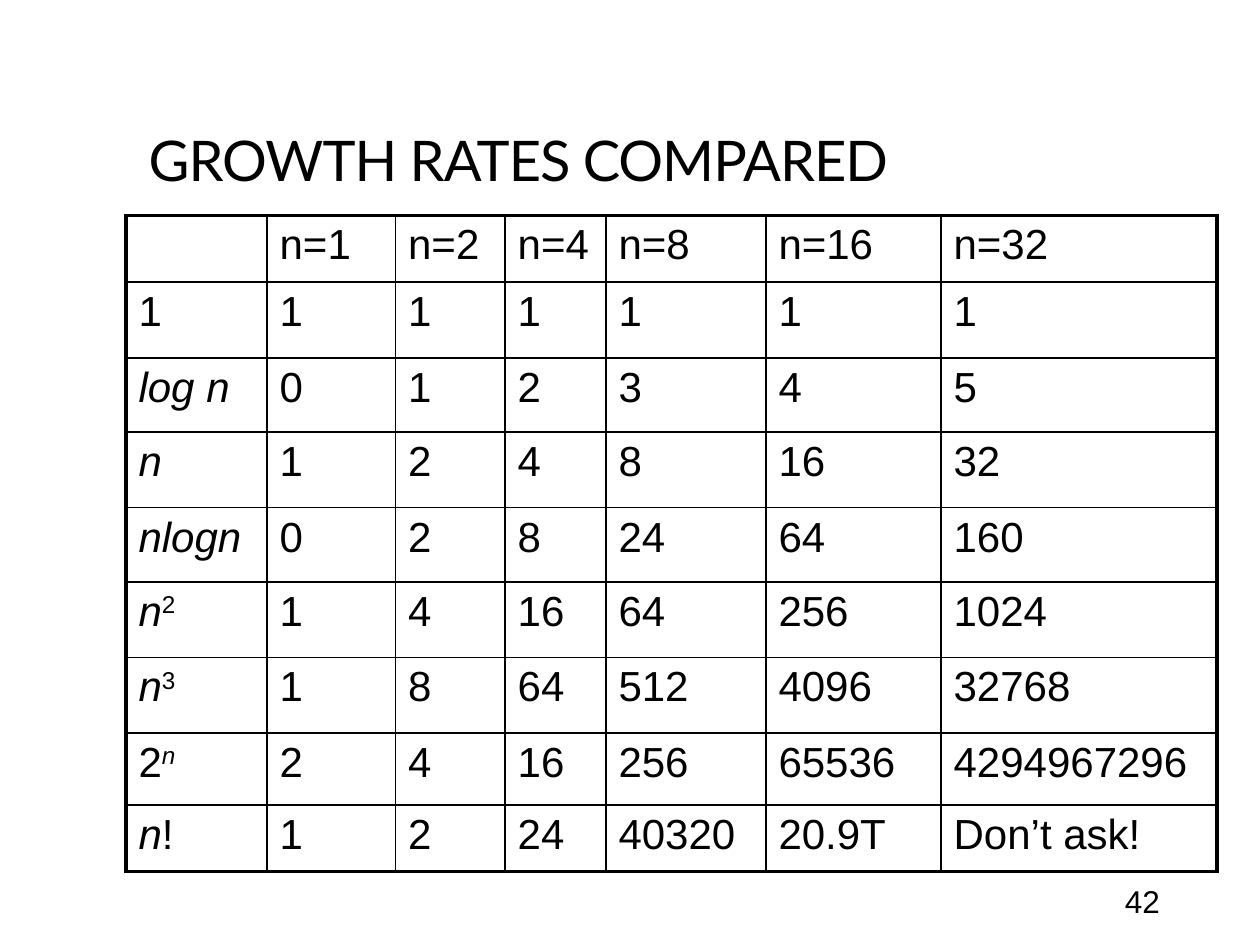
from dataclasses import dataclass

from lxml.etree import SubElement
from pptx import Presentation
from pptx.dml.color import RGBColor
from pptx.enum.text import MSO_ANCHOR, MSO_AUTO_SIZE, PP_ALIGN
from pptx.oxml.ns import qn
from pptx.util import Inches, Pt


@dataclass(frozen=True)
class Theme:
    ink: RGBColor = RGBColor(0, 0, 0)
    title_font: str = "Lato"
    body_font: str = "Arial"
    title_size: Pt = Pt(32)
    cell_size: Pt = Pt(24)
    number_size: Pt = Pt(18)
    inner_line: Pt = Pt(1)
    outer_line: Pt = Pt(2.25)


theme = Theme()


def add_run(p, text, size, font=theme.body_font, italic=False):
    r = p.add_run()
    r.text = text
    r.font.size = size
    r.font.name = font
    r.font.italic = italic
    r.font.color.rgb = theme.ink
    return r


def add_border(cell, side, width):
    ln = SubElement(cell._tc.get_or_add_tcPr(), qn(f"a:{side}"), w=str(width))
    fill = SubElement(ln, qn("a:solidFill"))
    SubElement(fill, qn("a:srgbClr"), val=str(theme.ink))


prs = Presentation()
prs.slide_width, prs.slide_height = Inches(10), Inches(7.5)
s = prs.slides.add_slide(prs.slide_layouts[5])

title = s.shapes.title
title.left, title.top = Inches(1.08), Inches(0.33)
title.width, title.height = Inches(8.67), Inches(1.25)
tf = title.text_frame
tf.auto_size = MSO_AUTO_SIZE.NONE
tf.vertical_anchor = MSO_ANCHOR.BOTTOM
p = tf.paragraphs[0]
p.alignment = PP_ALIGN.LEFT
r = add_run(p, "GROWTH RATES COMPARED", theme.title_size, theme.title_font)
r.font._element.set("spc", "-60")

number = s.shapes.add_textbox(Inches(8.83), Inches(6.95), Inches(0.5), Inches(0.4))
number.text_frame.word_wrap = True
add_run(number.text_frame.paragraphs[0], "42", theme.number_size)

col_widths = [1.12, 1.02, 0.87, 0.8, 1.27, 1.39, 2.19]
row_heights = [0.53, 0.6, 0.59, 0.6, 0.59, 0.6, 0.6, 0.57, 0.53]

# Row labels: (base, base italic, suffix, suffix italic, suffix raised)
labels = [
    None,
    ("1", False, "", False, False),
    ("log n", True, "", False, False),
    ("n", True, "", False, False),
    ("nlogn", True, "", False, False),
    ("n", True, "2", False, True),
    ("n", True, "3", False, True),
    ("2", False, "n", True, True),
    ("n", True, "!", False, False),
]
values = [
    ["n=1", "n=2", "n=4", "n=8", "n=16", "n=32"],
    ["1", "1", "1", "1", "1", "1"],
    ["0", "1", "2", "3", "4", "5"],
    ["1", "2", "4", "8", "16", "32"],
    ["0", "2", "8", "24", "64", "160"],
    ["1", "4", "16", "64", "256", "1024"],
    ["1", "8", "64", "512", "4096", "32768"],
    ["2", "4", "16", "256", "65536", "4294967296"],
    ["1", "2", "24", "40320", "20.9T", "Don’t ask!"],
]

n_rows, n_cols = len(row_heights), len(col_widths)
table = s.shapes.add_table(
    n_rows, n_cols, Inches(1), Inches(1.71), Inches(8.67), Inches(5.2)
).table
table.first_row = table.horz_banding = False
for col, width in zip(table.columns, col_widths):
    col.width = Inches(width)
for row, height in zip(table.rows, row_heights):
    row.height = Inches(height)

for i in range(n_rows):
    for j in range(n_cols):
        cell = table.cell(i, j)
        cell.margin_left = cell.margin_right = Inches(0.1)
        cell.margin_top = cell.margin_bottom = Inches(0.05)
        on_edge = {
            "lnL": j == 0,
            "lnR": j == n_cols - 1,
            "lnT": i == 0,
            "lnB": i == n_rows - 1,
        }
        for side, outer in on_edge.items():
            add_border(cell, side, theme.outer_line if outer else theme.inner_line)
        cell.fill.background()
        p = cell.text_frame.paragraphs[0]
        if j:
            add_run(p, values[i][j - 1], theme.cell_size)
        elif labels[i]:
            base, base_italic, suffix, suffix_italic, raised = labels[i]
            add_run(p, base, theme.cell_size, italic=base_italic)
            if suffix:
                r = add_run(p, suffix, theme.cell_size, italic=suffix_italic)
                if raised:
                    r.font._element.set("baseline", "30000")

prs.save("out.pptx")
